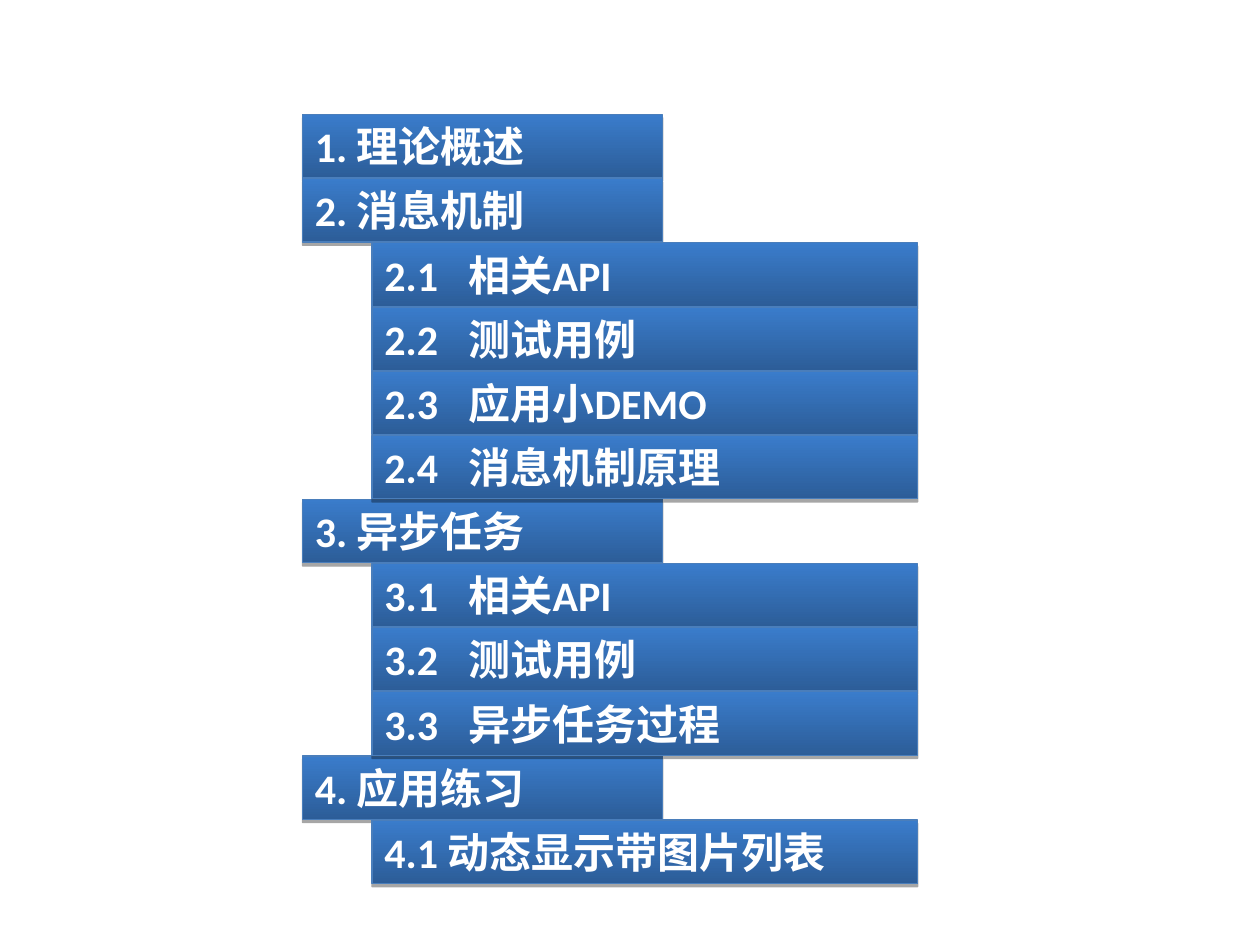
from lxml import etree
from pptx import Presentation
from pptx import util as u
from pptx.dml.color import RGBColor
from pptx.enum import shapes, text
from pptx.oxml import ns

DARK_BLUE = RGBColor(0x2C, 0x5D, 0x98)
LIGHT_BLUE = RGBColor(0x3A, 0x7C, 0xCB)
LINE_BLUE = RGBColor(0x4A, 0x7E, 0xBB)
WHITE = RGBColor(0xFF, 0xFF, 0xFF)

# Bar geometry in centimetres, as (left, width) for each outline level
CHAPTER = (6.1, 7.26)
SECTION = (7.5, 11)
TOP, PITCH, HEIGHT = 2.31, 1.293, 1.28
TITLE_TAB = 1.7

OUTLINE = [
    (CHAPTER, "1. 理论概述"),
    (CHAPTER, "2. 消息机制"),
    (SECTION, "2.1\t相关API"),
    (SECTION, "2.2\t测试用例"),
    (SECTION, "2.3\t应用小DEMO"),
    (SECTION, "2.4\t消息机制原理"),
    (CHAPTER, "3. 异步任务"),
    (SECTION, "3.1\t相关API"),
    (SECTION, "3.2\t测试用例"),
    (SECTION, "3.3\t异步任务过程"),
    (CHAPTER, "4. 应用练习"),
    (SECTION, "4.1 动态显示带图片列表"),
]


def add_xml(parent, tag, **attributes):
    return etree.SubElement(parent, ns.qn(tag), attributes)


class OutlineSlide:
    font_name = "Calibri"
    font_size = u.Pt(24)

    def __init__(self, slide):
        self.slide = slide

    def bar(self, level, row, label):
        left, width = level
        shape = self.slide.shapes.add_shape(
            shapes.MSO_SHAPE.RECTANGLE, u.Cm(left), u.Cm(TOP + row * PITCH),
            u.Cm(width), u.Cm(HEIGHT))
        shape.line.color.rgb = LINE_BLUE
        shape.line.width = u.Pt(0.75)
        self.gradient(shape)
        self.shadow(shape)
        self.label(shape, label)

    def gradient(self, shape):
        shape.fill.gradient()
        shape.fill.gradient_angle = 90
        for stop, color in zip(shape.fill.gradient_stops, (DARK_BLUE, LIGHT_BLUE)):
            stop.color.rgb = color

    def shadow(self, shape):
        shape.shadow.inherit = False
        effects = shape.element.spPr.find(ns.qn("a:effectLst"))
        shadow = add_xml(effects, "a:outerShdw", blurRad="0",
                         dist=str(u.Pt(1.8)), dir="5400000", rotWithShape="0")
        color = add_xml(shadow, "a:srgbClr", val="000000")
        add_xml(color, "a:alpha", val="35000")

    def label(self, shape, label):
        frame = shape.text_frame
        frame.word_wrap = True
        frame.auto_size = text.MSO_AUTO_SIZE.SHAPE_TO_FIT_TEXT
        frame.vertical_anchor = text.MSO_ANCHOR.TOP
        paragraph = frame.paragraphs[0]
        paragraph.text = label
        paragraph.alignment = text.PP_ALIGN.LEFT
        if "\t" in label:
            tabs = add_xml(paragraph._p.get_or_add_pPr(), "a:tabLst")
            add_xml(tabs, "a:tab", pos=str(u.Cm(TITLE_TAB)), algn="l")
        font = paragraph.font
        font.name, font.size, font.bold = self.font_name, self.font_size, True
        font.color.rgb = WHITE


def main():
    presentation = Presentation()
    presentation.slide_width = u.Cm(25.4)
    presentation.slide_height = u.Cm(19.05)
    slide = presentation.slides.add_slide(presentation.slide_layouts[6])
    outline = OutlineSlide(slide)

    # Chapters lie behind the indented sections
    for layer in (CHAPTER, SECTION):
        for row, (level, label) in enumerate(OUTLINE):
            if level == layer:
                outline.bar(level, row, label)

    presentation.save("out.pptx")


if __name__ == "__main__":
    main()
